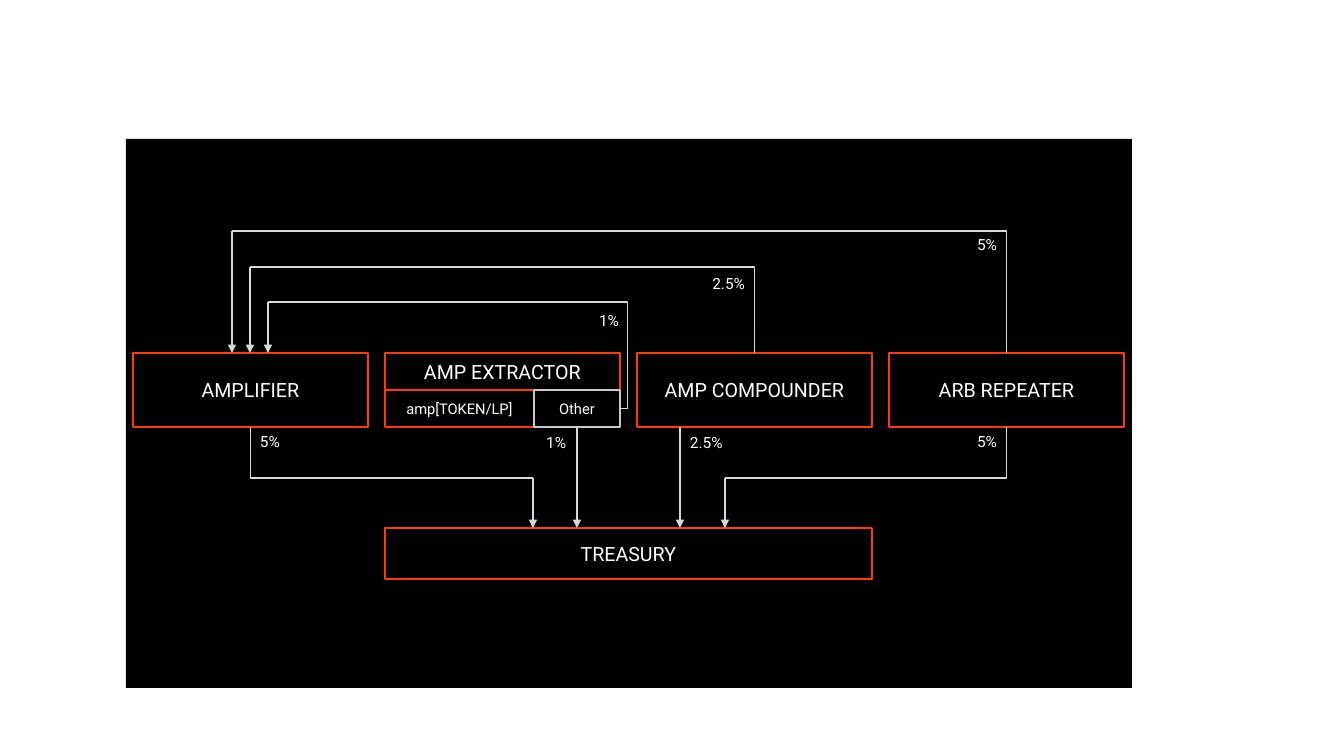
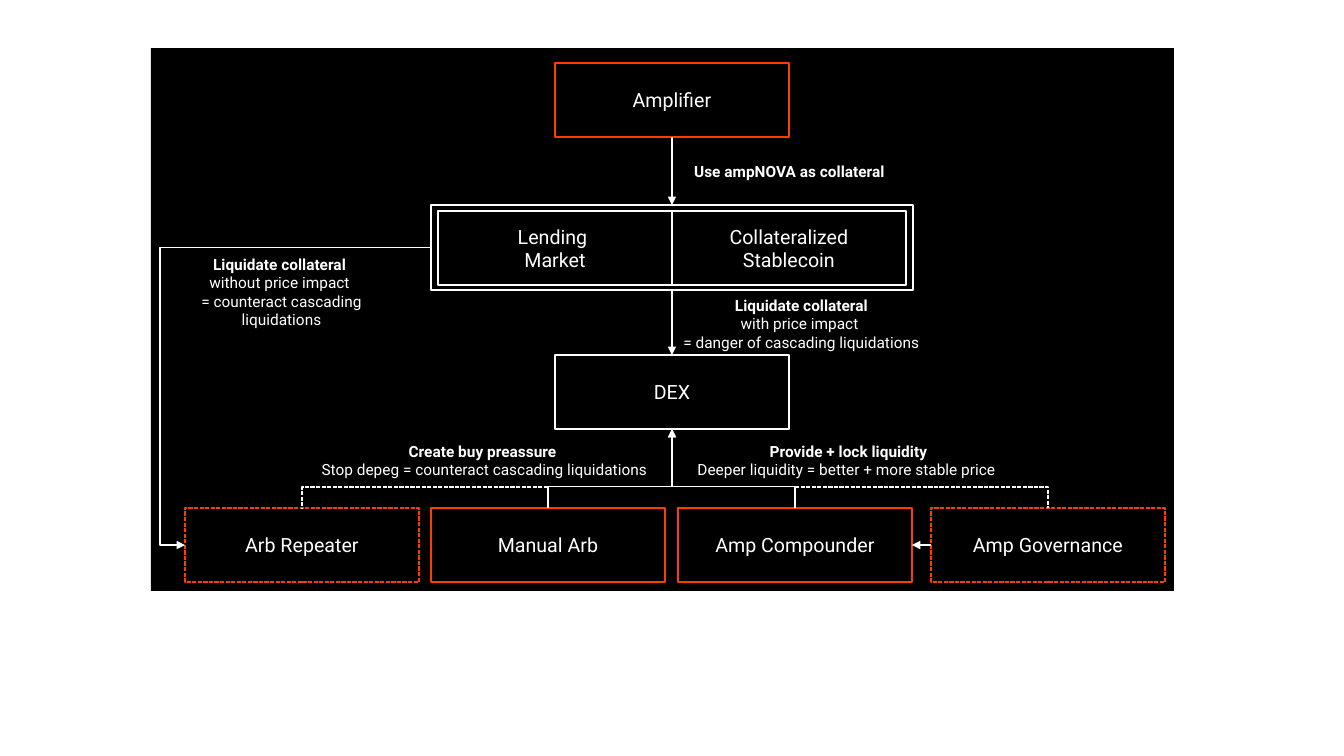
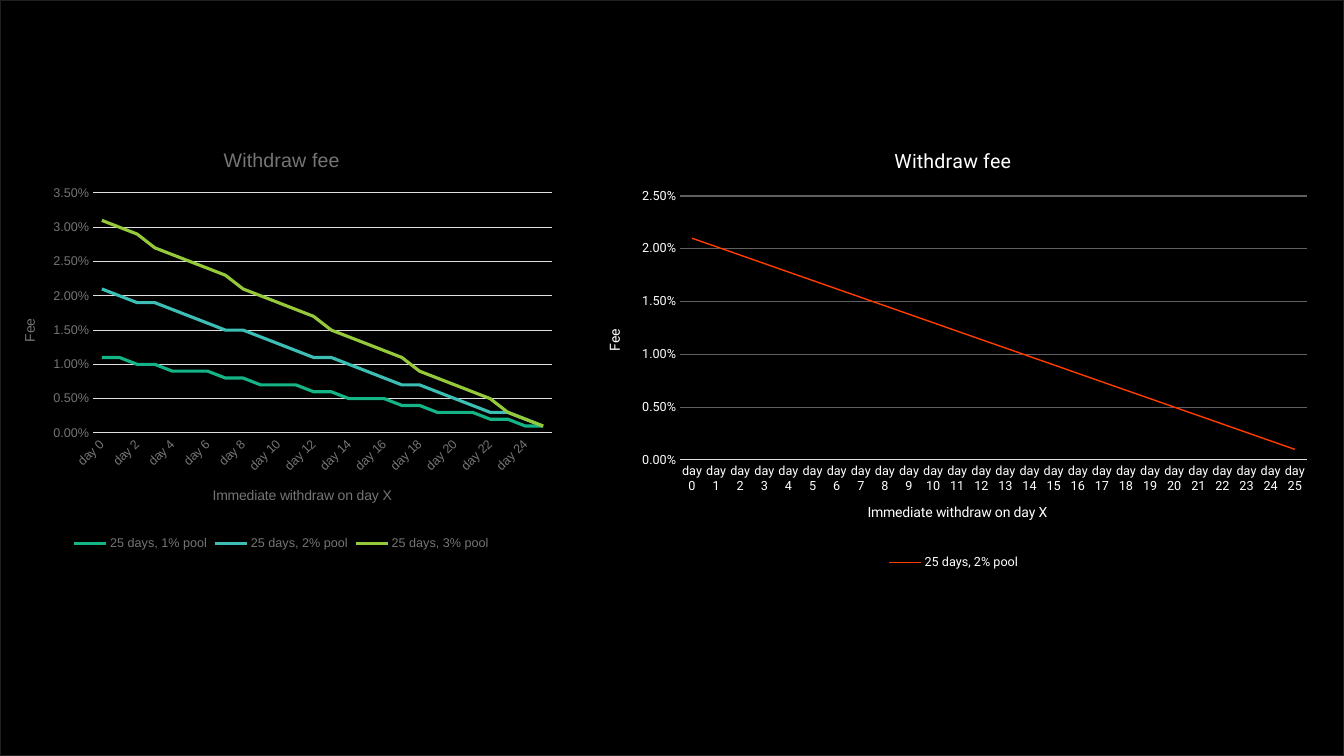
from lxml import etree
from pptx import Presentation
from pptx.chart.data import CategoryChartData
from pptx.dml.color import RGBColor
from pptx.enum.chart import XL_CHART_TYPE, XL_LEGEND_POSITION, XL_TICK_MARK
from pptx.enum.dml import MSO_LINE
from pptx.enum.shapes import MSO_CONNECTOR, MSO_SHAPE
from pptx.enum.text import MSO_ANCHOR, PP_ALIGN
from pptx.oxml.ns import qn
from pptx.util import Emu, Pt

PX = 914400 / 100.8
SLIDE_W, SLIDE_H = 1344, 756
FONT = "Roboto"

BLACK = RGBColor(0x00, 0x00, 0x00)
WHITE = RGBColor(0xFF, 0xFF, 0xFF)
ORANGE = RGBColor(0xFF, 0x3D, 0x00)
LIGHT = RGBColor(0xD9, 0xD9, 0xD9)
SILVER = RGBColor(0xCA, 0xCA, 0xCA)
PALE = RGBColor(0xDF, 0xDF, 0xDF)
GREY = RGBColor(0x75, 0x75, 0x75)
DARK_GREY = RGBColor(0x60, 0x60, 0x60)
EDGE = RGBColor(0x20, 0x20, 0x20)
GREEN = RGBColor(0x14, 0xB4, 0x87)
TEAL = RGBColor(0x3C, 0xBE, 0xB4)
LIME = RGBColor(0x96, 0xC8, 0x3C)

RECT = MSO_SHAPE.RECTANGLE
STRAIGHT, ELBOW = MSO_CONNECTOR.STRAIGHT, MSO_CONNECTOR.ELBOW
DASH = MSO_LINE.SQUARE_DOT
LEFT, CENTER, RIGHT = PP_ALIGN.LEFT, PP_ALIGN.CENTER, PP_ALIGN.RIGHT
MIDDLE, TOP = MSO_ANCHOR.MIDDLE, MSO_ANCHOR.TOP
SITE_TOP, SITE_LEFT, SITE_BOTTOM, SITE_RIGHT = range(4)


def add_block(slide, bounds, lines, size=14, outline=None, dashed=False,
              align=CENTER, bold_first=False):
    """Add an outlined box, or a plain label when there is no outline."""
    area = [Emu(round(n * PX)) for n in bounds]
    if outline is None:
        block = slide.shapes.add_textbox(*area)
    else:
        block = slide.shapes.add_shape(RECT, *area)
        block.shadow.inherit = False
        block.fill.background()
        block.line.color.rgb = outline
        block.line.width = Pt(1)
        if dashed:
            block.line.dash_style = DASH
    frame = block.text_frame
    frame.word_wrap = True
    frame.vertical_anchor = MIDDLE if outline is not None else TOP
    for i, line in enumerate(lines):
        paragraph = frame.paragraphs[0] if i == 0 else frame.add_paragraph()
        paragraph.alignment = align
        run = paragraph.add_run()
        run.text = line
        run.font.name = FONT
        run.font.size = Pt(size)
        run.font.bold = bold_first and i == 0
        run.font.color.rgb = WHITE
    return block


def add_link(slide, begin, end, color, arrow=False, dashed=False,
             bend=None, bend_at=None, upward=False):
    """Link two ends, each an (x, y) point or a (box, site) pair.

    An upward link leaves its begin vertically instead of sideways.
    """
    free = [p if isinstance(p[0], int) else (0, 0) for p in (begin, end)]
    link = slide.shapes.add_connector(
        ELBOW if bend else STRAIGHT,
        *[Emu(round(n * PX)) for point in free for n in point])
    if not isinstance(begin[0], int):
        link.begin_connect(*begin)
    if not isinstance(end[0], int):
        link.end_connect(*end)
    link.line.color.rgb = color
    link.line.width = Pt(1)
    if dashed:
        link.line.dash_style = DASH
    properties = link._element.spPr
    if bend:
        geometry = properties.find(qn("a:prstGeom"))
        geometry.set("prst", bend)
        if bend_at is not None:
            guides = geometry.find(qn("a:avLst"))
            if guides is None:
                guides = etree.SubElement(geometry, qn("a:avLst"))
            etree.SubElement(guides, qn("a:gd"), name="adj1", fmla=f"val {bend_at}")
    if upward:
        to_left = link.end_x < link.begin_x
        width, height = link.width, link.height
        link.left = Emu(link.left + (width - height) // 2)
        link.top = Emu(link.top + (height - width) // 2)
        link.width, link.height = height, width
        turn = properties.find(qn("a:xfrm"))
        turn.set("rot", "16200000")
        turn.set("flipH", "0")
        turn.set("flipV", "1" if to_left else "0")
    if arrow:
        etree.SubElement(link.line._get_or_add_ln(), qn("a:tailEnd"), type="triangle")
    etree.SubElement(properties, qn("a:effectLst"))


prs = Presentation()
prs.slide_width = Emu(round(SLIDE_W * PX))
prs.slide_height = Emu(round(SLIDE_H * PX))
background = prs.slide_master.background.fill
background.solid()
background.fore_color.rgb = WHITE

slides = []
for panel_bounds, panel_edge in [
    ((126, 139, 1006, 549), None),
    ((151, 48, 1023, 543), None),
    ((0, 0, SLIDE_W, SLIDE_H), EDGE),
]:
    slide = prs.slides.add_slide(prs.slide_layouts[6])
    panel = slide.shapes.add_shape(RECT, *[Emu(round(n * PX)) for n in panel_bounds])
    panel.shadow.inherit = False
    panel.fill.solid()
    panel.fill.fore_color.rgb = BLACK
    if panel_edge is None:
        panel.line.fill.background()
    else:
        panel.line.color.rgb = panel_edge
        panel.line.width = Pt(1)
    slides.append(slide)
fee_flow, liquidation, withdraw = slides

# Slide 1: fees flowing to the amplifier and the treasury
ROW_TOP, ROW_H, COLUMN_W, COLUMN_STEP = 353, 74, 235, 252
columns = [133 + COLUMN_STEP * i for i in range(4)]
amplifier, compounder, repeater = [
    add_block(fee_flow, (columns[i], ROW_TOP, COLUMN_W, ROW_H), [name], outline=ORANGE)
    for i, name in [(0, "AMPLIFIER"), (2, "AMP COMPOUNDER"), (3, "ARB REPEATER")]
]
HALF_H = ROW_H // 2
add_block(fee_flow, (columns[1], ROW_TOP, COLUMN_W, HALF_H), ["AMP EXTRACTOR"],
          outline=ORANGE)
add_block(fee_flow, (columns[1], ROW_TOP + HALF_H, 149, HALF_H), ["amp[TOKEN/LP]"],
          size=10.5, outline=ORANGE)
other = add_block(fee_flow, (columns[1] + 149, ROW_TOP + HALF_H, 86, HALF_H), ["Other"],
                  size=10.5, outline=SILVER)
TREASURY_TOP, TURN_Y = 528, 478
add_block(fee_flow, (columns[1], TREASURY_TOP, 487, 51), ["TREASURY"], outline=ORANGE)

for corner, box_end in [
    ((232, 231), (repeater, SITE_TOP)),
    ((250, 267), (compounder, SITE_TOP)),
    ((533, TURN_Y), (amplifier, SITE_BOTTOM)),
    ((725, TURN_Y), (repeater, SITE_BOTTOM)),
]:
    add_link(fee_flow, corner, box_end, LIGHT, bend="bentConnector2")
add_link(fee_flow, (other, SITE_RIGHT), (268, 302), LIGHT,
         bend="bentConnector3", bend_at=-2100)
for x, start_y, end_y in [
    (232, 231, ROW_TOP), (250, 267, ROW_TOP), (268, 302, ROW_TOP),
    (533, TURN_Y, TREASURY_TOP), (725, TURN_Y, TREASURY_TOP),
    (680, ROW_TOP + ROW_H, TREASURY_TOP),
]:
    add_link(fee_flow, (x, start_y), (x, end_y), LIGHT, arrow=True)
add_link(fee_flow, (other, SITE_BOTTOM), (577, TREASURY_TOP), LIGHT, arrow=True)

for fee, x, y, align in [
    ("5%", 852, 230, RIGHT), ("2.5%", 600, 269, RIGHT), ("1%", 474, 306, RIGHT),
    ("5%", 250, 427, LEFT), ("1%", 421, 428, RIGHT), ("2.5%", 680, 428, LEFT),
    ("5%", 852, 427, RIGHT),
]:
    add_block(fee_flow, (x, y, 155, 29), [fee], size=11, align=align)

# Slide 2: liquidation paths
BOX_W, BOX_H, AXIS_X, HUB_Y, BASE_TOP = 234, 74, 672, 487, 508
amplifier, lending, stablecoin, dex, repeater, manual_arb, compounder, governance = [
    add_block(liquidation, (x, y, BOX_W, BOX_H), lines, outline=color, dashed=dashed)
    for x, y, lines, color, dashed in [
        (AXIS_X - BOX_W // 2, 63, ["Amplifier"], ORANGE, False),
        (AXIS_X - BOX_W, 211, ["Lending ", "Market"], WHITE, False),
        (AXIS_X, 211, ["Collateralized Stablecoin"], WHITE, False),
        (AXIS_X - BOX_W // 2, 355, ["DEX"], WHITE, False),
        (185, BASE_TOP, ["Arb Repeater"], ORANGE, True),
        (431, BASE_TOP, ["Manual Arb"], ORANGE, False),
        (678, BASE_TOP, ["Amp Compounder"], ORANGE, False),
        (931, BASE_TOP, ["Amp Governance"], ORANGE, True),
    ]
]
markets = add_block(liquidation, (431, 205, 482, 85), [], outline=WHITE)

for begin, end in [
    ((amplifier, SITE_BOTTOM), (markets, SITE_TOP)),
    ((markets, SITE_BOTTOM), (dex, SITE_TOP)),
    ((governance, SITE_LEFT), (compounder, SITE_RIGHT)),
]:
    add_link(liquidation, begin, end, WHITE, arrow=True)
for source in (manual_arb, compounder):
    add_link(liquidation, (source, SITE_TOP), (dex, SITE_BOTTOM), WHITE, arrow=True,
             bend="bentConnector3", bend_at=27000, upward=True)
for start_x, source in [(548, repeater), (795, governance)]:
    add_link(liquidation, (start_x, HUB_Y), (source, SITE_TOP), WHITE,
             dashed=True, bend="bentConnector2")
add_link(liquidation, (markets, SITE_LEFT), (repeater, SITE_LEFT), WHITE, arrow=True,
         bend="bentConnector3", bend_at=110200)

for bounds, lines in [
    ((672, 157, 235, 29), ["Use ampNOVA as collateral"]),
    ((151, 250, 261, 67), ["Liquidate collateral ", "without price impact ",
                           "= counteract cascading liquidations"]),
    ((673, 291, 257, 67), ["Liquidate collateral", "with price impact ",
                           "= danger of cascading liquidations "]),
    ((309, 437, 351, 47), ["Create buy preassure ",
                           "Stop depeg = counteract cascading liquidations"]),
    ((673, 437, 351, 47), ["Provide + lock liquidity",
                           "Deeper liquidity = better + more stable price "]),
]:
    add_block(liquidation, bounds, lines, size=11, bold_first=True)

# Slide 3: withdraw fee falling over 25 days to a floor of 0.1%
DAYS = 25
for (bounds, pools, digits, line_pt, font_name, ink, grid, top_fee, slant, label_skip,
     places) in [
    ((0, 129, 563, 426), [(1, GREEN), (2, TEAL), (3, LIME)], 3, 2.25, "Arial", GREY, PALE,
     0.035, -45, 2, [(93, 193, 459, 240), (220, 144), (210, 484), (18, 316)]),
    ((585, 129, 737, 445), [(2, ORANGE)], 4, 1, FONT, WHITE, DARK_GREY,
     0.025, 0, 1, [(680, 196, 627, 264), (891, 144), (865, 501), (603, 327)]),
]:
    data = CategoryChartData(number_format="0.00%")
    data.categories = [f"day {day}" for day in range(DAYS + 1)]
    for pool, color in pools:
        data.add_series(f"25 days, {pool}% pool",
                        [round(0.001 + pool / 100 * (1 - day / DAYS), digits)
                         for day in range(DAYS + 1)])
    chart = withdraw.shapes.add_chart(
        XL_CHART_TYPE.LINE, *[Emu(round(n * PX)) for n in bounds], data).chart
    chart.font.name = font_name
    chart.font.size = Pt(10)
    chart.font.color.rgb = ink
    chart.has_legend = True
    chart.legend.position = XL_LEGEND_POSITION.BOTTOM
    chart.legend.include_in_layout = False
    plot = chart.plots[0]
    plot.vary_by_categories = False
    for series, (pool, color) in zip(plot.series, pools):
        series.smooth = False
        series.format.line.color.rgb = color
        series.format.line.width = Pt(line_pt)

    day_axis, fee_axis = chart.category_axis, chart.value_axis
    for font in [chart.legend.font, day_axis.tick_labels.font, fee_axis.tick_labels.font]:
        font.name = font_name
        font.size = Pt(9)
        font.color.rgb = ink
    for axis in (day_axis, fee_axis):
        axis.major_tick_mark = XL_TICK_MARK.NONE
        axis.minor_tick_mark = XL_TICK_MARK.NONE
    day_axis.format.line.color.rgb = PALE
    day_axis.format.line.width = Pt(0.75)
    day_axis._element.find(qn("c:txPr")).find(qn("a:bodyPr")).set("rot", str(slant * 60000))
    skip = etree.Element(qn("c:tickLblSkip"), val=str(label_skip))
    day_axis._element.find(qn("c:noMultiLvlLbl")).addprevious(skip)
    fee_axis.minimum_scale = 0
    fee_axis.maximum_scale = top_fee
    fee_axis.major_unit = 0.005
    fee_axis.tick_labels.number_format = "0.00%"
    fee_axis.tick_labels.number_format_is_linked = False
    fee_axis.format.line.fill.background()
    fee_axis.has_major_gridlines = True
    fee_axis.major_gridlines.format.line.color.rgb = grid
    fee_axis.major_gridlines.format.line.width = Pt(0.75)

    titles = [chart.chart_title, day_axis.axis_title, fee_axis.axis_title]
    for title, text, size in zip(
            titles, ["Withdraw fee", "Immediate withdraw on day X", "Fee"], [14, 10, 10]):
        run = title.text_frame.paragraphs[0].add_run()
        run.text = text
        run.font.name = font_name
        run.font.size = Pt(size)
        run.font.bold = False
        run.font.color.rgb = ink
    fee_axis.axis_title._element.find(".//" + qn("a:bodyPr")).set("rot", "-5400000")

    plot_area = chart._chartSpace.find(".//" + qn("c:plotArea"))
    for part, place in zip([plot_area] + [title._element for title in titles], places):
        for automatic in part.findall(qn("c:layout")):
            part.remove(automatic)
        layout = etree.Element(qn("c:layout"))
        part.insert(0 if part is plot_area else 1, layout)
        manual = etree.SubElement(layout, qn("c:manualLayout"))
        if part is plot_area:
            etree.SubElement(manual, qn("c:layoutTarget"), val="inner")
        for mode in ("xMode", "yMode"):
            etree.SubElement(manual, qn(f"c:{mode}"), val="edge")
        fractions = [(place[0] - bounds[0]) / bounds[2], (place[1] - bounds[1]) / bounds[3]]
        if part is plot_area:
            fractions += [place[2] / bounds[2], place[3] / bounds[3]]
        for key, fraction in zip("xywh", fractions):
            etree.SubElement(manual, qn(f"c:{key}"), val=f"{fraction:.4f}")

prs.save("out.pptx")
